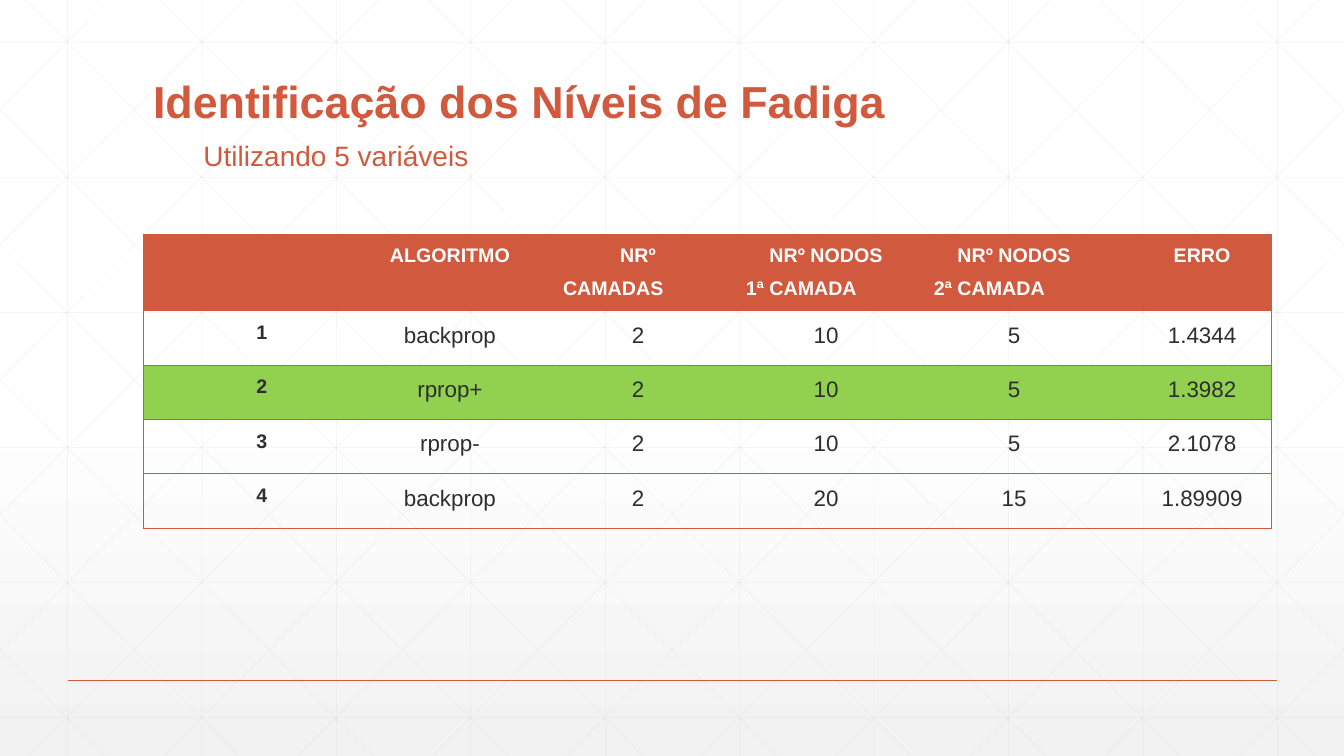
"""Build the slide on identifying fatigue levels with five variables."""
from lxml import etree
from pptx import Presentation
from pptx.dml.color import RGBColor
from pptx.enum.shapes import MSO_CONNECTOR
from pptx.enum.text import MSO_ANCHOR, PP_ALIGN
from pptx.oxml import parse_xml
from pptx.oxml.ns import nsdecls, qn
from pptx.util import Inches, Pt

STRAIGHT = MSO_CONNECTOR.STRAIGHT
CENTER = PP_ALIGN.CENTER
BOTTOM = MSO_ANCHOR.BOTTOM
ORANGE = RGBColor(0xD1, 0x5A, 0x3E)
GREEN = RGBColor(0x92, 0xD0, 0x50)
DARK = RGBColor(0x2D, 0x2E, 0x2D)
WHITE = RGBColor(0xFF, 0xFF, 0xFF)
PALE = RGBColor(0xF2, 0xF2, 0xF2)
GRID = RGBColor(0xD9, 0xD9, 0xD9)
WIDTH, HEIGHT = 13.33, 7.5
NO_GRID_STYLE = "{2D5ABB26-0587-4C30-8999-92F81FD0307C}"

presentation = Presentation()
presentation.slide_width = Inches(WIDTH)
presentation.slide_height = Inches(HEIGHT)
slide = presentation.slides.add_slide(presentation.slide_layouts[6])


def add_line(x1, y1, x2, y2, color, width, opacity=100):
    line = slide.shapes.add_connector(
        STRAIGHT, Inches(x1), Inches(y1), Inches(x2), Inches(y2))
    line.line.color.rgb = color
    line.line.width = Pt(width)
    properties = line._element.spPr
    etree.SubElement(properties, qn("a:effectLst"))
    if opacity < 100:
        color_element = properties.find(".//" + qn("a:srgbClr"))
        etree.SubElement(color_element, qn("a:alpha"), val=str(opacity * 1000))


def add_text(paragraph, text, size, color, bold=False):
    run = paragraph.add_run()
    run.text = text
    run.font.name = "Arial"
    run.font.size = Pt(size)
    run.font.bold = bold
    run.font.color.rgb = color


background = slide.background.fill
background.gradient()
background.gradient_angle = 270
for stop, color, position in zip(background.gradient_stops, (WHITE, PALE), (0.53, 1)):
    stop.color.rgb = color
    stop.position = position

GRID_STEP = 4 / 3
for column in range(10):
    x = 0.67 + column * GRID_STEP
    add_line(x, 0, x, HEIGHT, GRID, 0.5, 25)
for row in range(6):
    y = 0.42 + row * 1.34
    add_line(0, y, WIDTH, y, GRID, 0.5, 25)

DIAGONAL_RUN = 7.46
slope = HEIGHT / DIAGONAL_RUN
for step in range(-5, 10):
    start = 0.25 + step * GRID_STEP
    left, right = max(start, 0), min(start + DIAGONAL_RUN, WIDTH)
    top, bottom = (left - start) * slope, (right - start) * slope
    add_line(left, top, right, bottom, GRID, 0.5, 25)
    add_line(WIDTH - left, top, WIDTH - right, bottom, GRID, 0.5, 25)

add_line(0.67, 6.75, 12.67, 6.75, ORANGE, 1)

title = slide.shapes.add_textbox(Inches(1.42), Inches(0.55), Inches(10.5), Inches(1.25))
title.text_frame.word_wrap = True
title.text_frame.vertical_anchor = BOTTOM
heading = title.text_frame.paragraphs[0]
heading.line_spacing = 0.9
add_text(heading, "Identificação dos Níveis de Fadiga", 32, ORANGE, bold=True)
heading.add_line_break()
add_text(heading, "\t", 32, ORANGE, bold=True)
add_text(heading, "Utilizando 5 variáveis", 20, ORANGE)

ROWS = [
    ("", "ALGORITMO", "NRº CAMADAS", "NRº NODOS 1ª CAMADA", "NRº NODOS 2ª CAMADA", "ERRO"),
    ("1", "backprop", "2", "10", "5", "1.4344"),
    ("2", "rprop+", "2", "10", "5", "1.3982"),
    ("3", "rprop-", "2", "10", "5", "2.1078"),
    ("4", "backprop", "2", "20", "15", "1.89909"),
]
BEST_ROW = 2
LAST_COLUMN = len(ROWS[0]) - 1

table_frame = slide.shapes.add_table(
    len(ROWS), len(ROWS[0]), Inches(1.42), Inches(2.32), Inches(11.19), Inches(2.93))
table = table_frame.table
table._tbl.tblPr.find(qn("a:tableStyleId")).text = NO_GRID_STYLE
table.horz_banding = False

for row_index, values in enumerate(ROWS):
    is_header = row_index == 0
    table.rows[row_index].height = Inches(0.76 if is_header else 0.54)
    for column_index, value in enumerate(values):
        cell = table.cell(row_index, column_index)
        cell.margin_left = cell.margin_right = Inches(0.07)
        cell.margin_top = cell.margin_bottom = 0
        if is_header or row_index == BEST_ROW:
            cell.fill.solid()
            cell.fill.fore_color.rgb = ORANGE if is_header else GREEN
        else:
            cell.fill.background()

        sides = ["lnT", "lnB"]
        if column_index == LAST_COLUMN:
            sides.insert(0, "lnR")
        if column_index == 0:
            sides.insert(0, "lnL")
        for position, side in enumerate(sides):
            cell._tc.get_or_add_tcPr().insert(position, parse_xml(
                f'<a:{side} {nsdecls("a")} w="{Pt(0.5)}"><a:solidFill>'
                f'<a:srgbClr val="{ORANGE}"/></a:solidFill></a:{side}>'))

        if value:
            paragraph = cell.text_frame.paragraphs[0]
            paragraph.alignment = CENTER
            paragraph.line_spacing = 1.5
            paragraph.space_after = Pt(12)
            paragraph._p.get_or_add_pPr().set("indent", str(Inches(0.49)))
            is_label = is_header or column_index == 0
            add_text(paragraph, value, 14 if is_label else 16,
                     WHITE if is_header else DARK, bold=is_label)

presentation.save("out.pptx")
